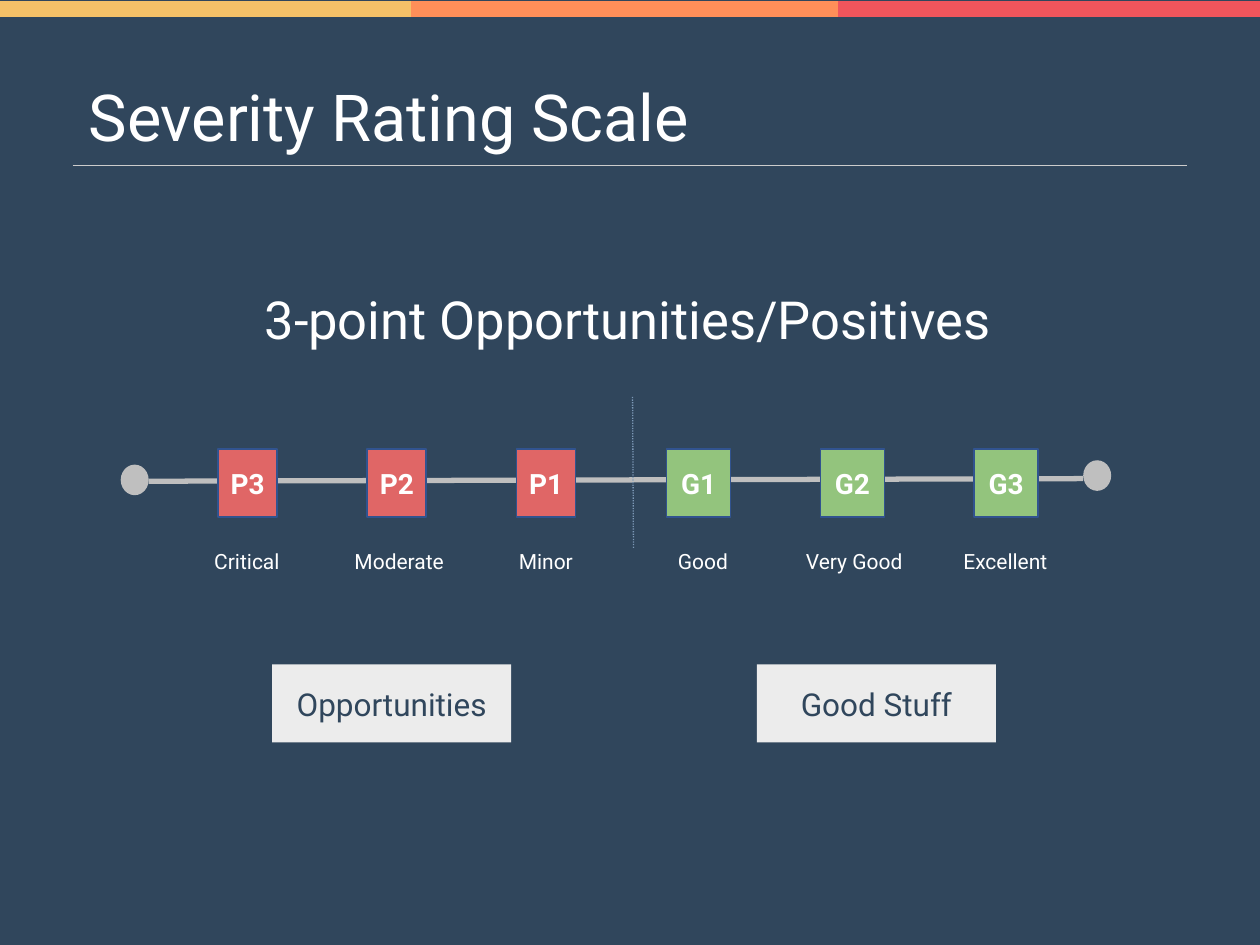
import pptx
import pptx.util
import pptx.dml.color
import pptx.enum.dml
import pptx.enum.shapes
import pptx.enum.text
import pptx.oxml.ns
import lxml.etree

Pt = pptx.util.Pt
RGBColor = pptx.dml.color.RGBColor
SHAPE = pptx.enum.shapes.MSO_SHAPE
ANCHOR = pptx.enum.text.MSO_ANCHOR
ALIGN = pptx.enum.text.PP_ALIGN

NAVY = RGBColor(0x30, 0x46, 0x5C)
YELLOW = RGBColor(0xF5, 0xC1, 0x68)
ORANGE = RGBColor(0xFF, 0x8F, 0x59)
CORAL = RGBColor(0xF0, 0x55, 0x5C)
RULE_GRAY = RGBColor(0xCC, 0xCC, 0xCC)
SCALE_GRAY = RGBColor(0xBF, 0xBF, 0xBF)
LIGHT_GRAY = RGBColor(0xEC, 0xEC, 0xEC)
DIVIDER_BLUE = RGBColor(0x7C, 0x98, 0xB6)
BORDER_BLUE = RGBColor(0x31, 0x53, 0x8F)
RED = RGBColor(0xE0, 0x66, 0x66)
GREEN = RGBColor(0x93, 0xC4, 0x7D)
WHITE = RGBColor(0xFF, 0xFF, 0xFF)

presentation = pptx.Presentation()
presentation.slide_width = Pt(720)
presentation.slide_height = Pt(540)
slide = presentation.slides.add_slide(presentation.slide_layouts[6])
slide.background.fill.solid()
slide.background.fill.fore_color.rgb = NAVY


def add_line(x1, y1, x2, y2, color, width):
    line = slide.shapes.add_connector(
        pptx.enum.shapes.MSO_CONNECTOR.STRAIGHT, Pt(x1), Pt(y1), Pt(x2), Pt(y2))
    line.line.color.rgb = color
    line.line.width = Pt(width)
    lxml.etree.SubElement(line._element.spPr, pptx.oxml.ns.qn("a:effectLst"))
    return line


def add_item(box, text="", size=12, color=WHITE, bold=False, kind=None, fill=None,
             border=None, anchor=ANCHOR.MIDDLE, align=ALIGN.CENTER, spacing=1.0,
             inset=None):
    """Add a text box, or a filled shape when a kind is given."""
    box = [Pt(value) for value in box]
    if kind is None:
        shape = slide.shapes.add_textbox(*box)
    else:
        shape = slide.shapes.add_shape(kind, *box)
        shape.shadow.inherit = False
        shape.fill.solid()
        shape.fill.fore_color.rgb = fill
        if border is None:
            shape.line.fill.background()
        else:
            shape.line.color.rgb = border
            shape.line.width = Pt(1)
    if not text:
        return
    frame = shape.text_frame
    frame.word_wrap = True
    frame.vertical_anchor = anchor
    if inset is not None:
        for side in ("left", "top", "right", "bottom"):
            setattr(frame, f"margin_{side}", Pt(inset))
    paragraph = frame.paragraphs[0]
    paragraph.alignment = align
    paragraph.line_spacing = spacing
    run = paragraph.add_run()
    run.text = text
    run.font.color.rgb = color
    font_format = {"name": "Roboto", "size": Pt(size), "bold": bold}
    for name, value in font_format.items():
        setattr(run.font, name, value)


# Colour band along the top edge
for left, right, color in ((0, 235, YELLOW), (235, 479, ORANGE), (479, 720, CORAL)):
    add_line(left, 5, right, 5, color, 9)

# Title with rule, and subtitle
add_line(41.5, 94.5, 678.5, 94.5, RULE_GRAY, 0.75)
add_item((41.5, 34.5, 654, 60), "Severity Rating Scale", 37,
         anchor=ANCHOR.TOP, align=ALIGN.LEFT, inset=9.2)
add_item((54.5, 155, 608.5, 44.5), "3-point Opportunities/Positives", 30,
         anchor=ANCHOR.TOP, spacing=1.15)

# Scale line with its end dots
add_line(85, 275, 619, 273.5, SCALE_GRAY, 3)
for left, top in ((69, 265.5), (619, 263)):
    add_item((left, top, 16, 17.5), kind=SHAPE.OVAL, fill=SCALE_GRAY)

# Ratings: first box left, step, box width, fill, (code, label, label left)
rating_groups = (
    (124.6, 85.3, 33.8, RED,
     (("P3", "Critical", 102.2), ("P2", "Moderate", 189.2), ("P1", "Minor", 273))),
    (380.9, 87.9, 36.6, GREEN,
     (("G1", "Good", 362.8), ("G2", "Very Good", 449.2), ("G3", "Excellent", 535.6))),
)
for first_left, step, width, fill, ratings in rating_groups:
    for index, (code, label, label_left) in enumerate(ratings):
        add_item((first_left + index * step, 256.5, width, 39), code, 16, bold=True,
                 kind=SHAPE.RECTANGLE, fill=fill, border=BORDER_BLUE)
        add_item((label_left, 298.3, 77.8, 44.6), label)

# Divider between the two halves
divider = add_line(361.5, 226.8, 362, 313.2, DIVIDER_BLUE, 0.75)
divider.line.dash_style = pptx.enum.dml.MSO_LINE.ROUND_DOT

# Names of the two halves
for left, text in ((155.5, "Opportunities"), (432.5, "Good Stuff")):
    add_item((left, 379.7, 136.6, 44.6), text, 18, NAVY,
             kind=SHAPE.RECTANGLE, fill=LIGHT_GRAY)

presentation.save("out.pptx")
